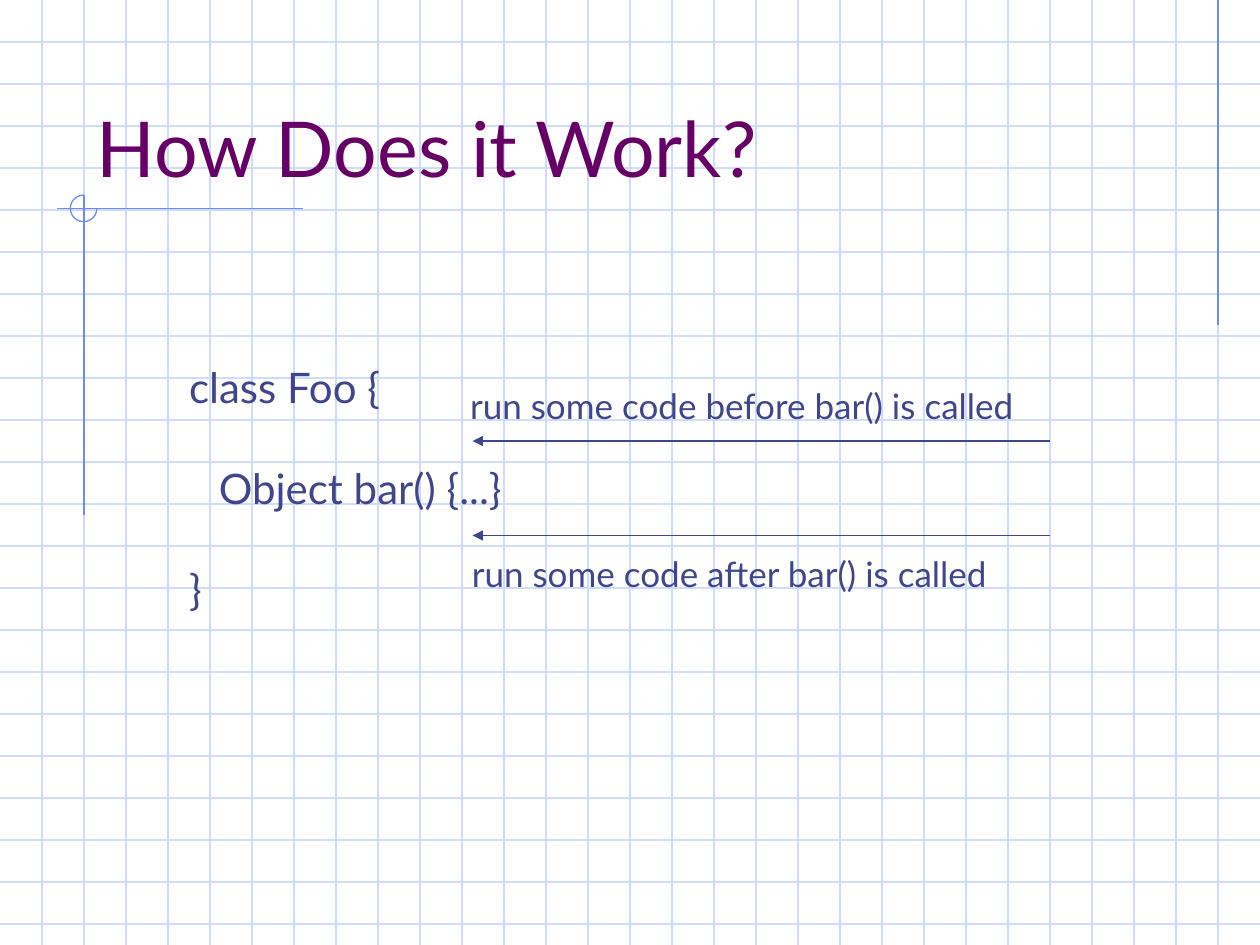
from typing import NamedTuple

from lxml.etree import SubElement
from pptx import Presentation
from pptx.dml.color import RGBColor
from pptx.enum.shapes import MSO_CONNECTOR as Link, MSO_SHAPE as Shape
from pptx.enum.text import MSO_ANCHOR as Anchor
from pptx.oxml.ns import qn
from pptx.util import Pt

WIDE, HIGH, STEP = 720, 540, 24
GRID, TRIM, INK, PLUM = "CFDBFD", "6F89F7", "40458C", "660066"


class Line(NamedTuple):
    x1: float
    y1: float
    x2: float
    y2: float
    tint: str
    arrow: bool = False


class Row(NamedTuple):
    text: str
    indent: float = 0
    gap: float = 0


class Box(NamedTuple):
    left: float
    top: float
    width: float
    height: float
    size: float
    tint: str
    rows: list[Row]
    wrap: bool = False
    anchor: Anchor = Anchor.TOP


def color(code: str) -> RGBColor:
    return RGBColor.from_string(code)


def apply(item, style: dict) -> None:
    """Set each named attribute of item."""
    for name, value in style.items():
        setattr(item, name, value)


def stroke(shape, tint: str) -> None:
    shape.line.width = Pt(0.75)
    shape.line.color.rgb = color(tint)


def draw_line(slide, line: Line) -> None:
    ends = (Pt(n) for n in line[:4])
    link = slide.shapes.add_connector(Link.STRAIGHT, *ends)
    stroke(link, line.tint)
    if line.arrow:
        SubElement(link.line._get_or_add_ln(), qn("a:tailEnd"), type="triangle")
    SubElement(link._element.spPr, qn("a:effectLst"))


def draw_arc(slide, left: float, top: float, size: float) -> None:
    """Draw three quarters of a circle, open at the upper right."""
    arc = slide.shapes.add_shape(Shape.ARC, Pt(left), Pt(top), Pt(size), Pt(size))
    arc.shadow.inherit = False
    arc.fill.background()
    stroke(arc, TRIM)
    arc.adjustments[0] = 0
    arc.adjustments[1] = 270 * 0.6


def draw_text(slide, box: Box) -> None:
    frame = slide.shapes.add_textbox(*(Pt(n) for n in box[:4])).text_frame
    apply(frame, {
        "word_wrap": box.wrap, "vertical_anchor": box.anchor,
        "margin_left": Pt(7.2), "margin_right": Pt(7.2),
        "margin_top": Pt(3.6), "margin_bottom": Pt(3.6),
    })
    for i, row in enumerate(box.rows):
        para = frame.add_paragraph() if i else frame.paragraphs[0]
        para.space_before = Pt(row.gap)
        if row.indent:
            para._p.get_or_add_pPr().set("marL", str(Pt(row.indent)))
        run = para.add_run()
        run.text = row.text
        apply(run.font, {"name": "Lato", "size": Pt(box.size)})
        run.font.color.rgb = color(box.tint)


LINES = [
    *(Line(0, y, WIDE, y, GRID) for y in range(STEP, HIGH, STEP)),
    *(Line(x, 0, x, HIGH, GRID) for x in range(STEP, WIDE, STEP)),
    Line(696, 0, 696, 186, TRIM),
    Line(173, 119.3, 32.5, 119.3, TRIM),
    Line(48, 111.5, 48, 294.5, TRIM),
    *(Line(600, y, 270, y, INK, True) for y in (252, 306)),
]

BOXES = [
    Box(48, 24, 612, 90, 44, PLUM, [Row("How Does it Work?")], True, Anchor.BOTTOM),
    Box(101, 203, 209, 151, 24, INK, [
        Row("class Foo {"),
        Row("Object bar() {...}", 17, 28.8),
        Row("}", 0, 28.8),
    ]),
    Box(261.5, 216, 351, 32, 20, INK, [Row("run some code before bar() is called")]),
    Box(262.5, 312, 334, 32, 20, INK, [Row("run some code after bar() is called")]),
]


def main() -> None:
    deck = Presentation()
    apply(deck, {"slide_width": Pt(WIDE), "slide_height": Pt(HIGH)})
    slide = deck.slides.add_slide(deck.slide_layouts[6])
    for line in LINES:
        draw_line(slide, line)
    draw_arc(slide, 40.2, 111.5, 15.2)
    for box in BOXES:
        draw_text(slide, box)
    deck.save("out.pptx")


if __name__ == "__main__":
    main()
